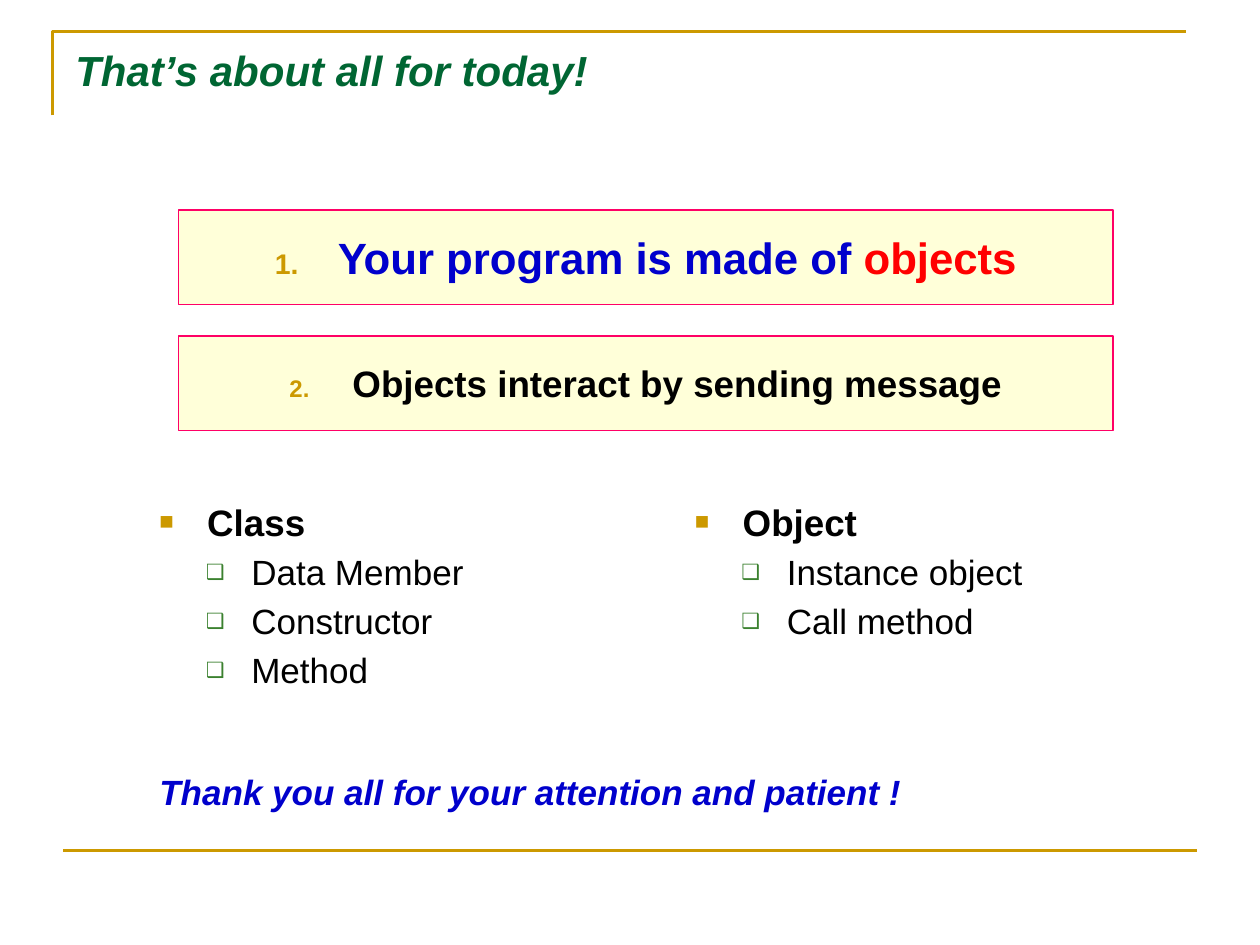
from dataclasses import dataclass, replace
from typing import Optional

from lxml import etree
from pptx import Presentation
from pptx import util as u
from pptx.dml.color import RGBColor
from pptx.enum import shapes, text
from pptx.oxml import ns

GOLD = RGBColor(0xCC, 0x99, 0x00)
DARK_GREEN = RGBColor(0x00, 0x66, 0x33)
LEAF_GREEN = RGBColor(0x3B, 0x81, 0x2F)
BLUE = RGBColor(0x00, 0x00, 0xCC)
RED = RGBColor(0xFF, 0x00, 0x00)
PINK = RGBColor(0xFF, 0x00, 0x66)
CREAM = RGBColor(0xFF, 0xFF, 0xD9)
BLACK = RGBColor(0x00, 0x00, 0x00)

WIDTH, HEIGHT = u.Inches(10), u.Inches(7.5)
COLUMNS, ROWS = 120, 90


@dataclass(frozen=True)
class Area:
    column: float
    row: float
    columns: float
    rows: float

    def lengths(self) -> tuple[int, int, int, int]:
        return (across(self.column), down(self.row),
                across(self.columns), down(self.rows))


@dataclass(frozen=True)
class Bullet:
    tag: str
    attributes: dict
    color: RGBColor
    percent: int
    margin: float
    hanging: float


@dataclass(frozen=True)
class Run:
    text: str
    size: float
    color: RGBColor = BLACK
    bold: bool = True
    italic: bool = False


@dataclass(frozen=True)
class Line:
    runs: tuple[Run, ...]
    bullet: Optional[Bullet] = None
    level: int = 0
    alignment: text.PP_ALIGN = text.PP_ALIGN.LEFT


@dataclass(frozen=True)
class Topic:
    column: float
    heading: str
    members: tuple[str, ...]


SQUARE = Bullet("a:buChar", {"char": "■"}, GOLD, 65, 0.38, 0.38)
HOLLOW = Bullet("a:buChar", {"char": "❑"}, LEAF_GREEN, 60, 0.73, 0.36)
NUMBER = Bullet("a:buAutoNum", {"type": "arabicPeriod"}, GOLD, 65, 0.5, 0.5)

MESSAGES = (
    (Run("Your program is made of ", 25, BLUE), Run("objects", 25, RED)),
    (Run("Objects interact by sending message", 21),),
)
TOPICS = (
    Topic(14, "Class", ("Data Member", "Constructor", "Method")),
    Topic(65, "Object", ("Instance object", "Call method")),
)


def across(columns: float) -> int:
    return round(WIDTH * columns / COLUMNS)


def down(rows: float) -> int:
    return round(HEIGHT * rows / ROWS)


def apply_bullet(paragraph, bullet: Bullet) -> None:
    properties = paragraph._p.get_or_add_pPr()
    properties.set("marL", str(u.Inches(bullet.margin)))
    properties.set("indent", str(-u.Inches(bullet.hanging)))
    color = etree.SubElement(properties, ns.qn("a:buClr"))
    etree.SubElement(color, ns.qn("a:srgbClr"), val=str(bullet.color))
    etree.SubElement(properties, ns.qn("a:buSzPct"), val=str(bullet.percent * 1000))
    etree.SubElement(properties, ns.qn("a:buFont"), typeface="Arial")
    etree.SubElement(properties, ns.qn(bullet.tag), bullet.attributes)


def write_lines(frame, lines: list[Line]) -> None:
    frame.word_wrap = True
    for index, line in enumerate(lines):
        paragraph = frame.add_paragraph() if index else frame.paragraphs[0]
        paragraph.alignment = line.alignment
        paragraph.level = line.level
        if line.bullet:
            paragraph.space_before = u.Pt(line.runs[0].size * 0.2)
            apply_bullet(paragraph, line.bullet)
        for part in line.runs:
            run = paragraph.add_run()
            run.text = part.text
            formats = {"name": "Arial", "size": u.Pt(part.size),
                       "bold": part.bold, "italic": part.italic}
            for name, value in formats.items():
                setattr(run.font, name, value)
            run.font.color.rgb = part.color


def add_text(slide, area: Area, lines: list[Line]) -> None:
    write_lines(slide.shapes.add_textbox(*area.lengths()).text_frame, lines)


def add_message(slide, area: Area, line: Line) -> None:
    shape = slide.shapes.add_shape(shapes.MSO_SHAPE.RECTANGLE, *area.lengths())
    shape.shadow.inherit = False
    shape.fill.solid()
    shape.fill.fore_color.rgb = CREAM
    shape.line.color.rgb = PINK
    shape.line.width = u.Pt(0.75)
    shape.text_frame.vertical_anchor = text.MSO_ANCHOR.MIDDLE
    write_lines(shape.text_frame, [line])


def add_topic(slide, topic: Topic) -> None:
    lines = [Line((Run(topic.heading, 21),), SQUARE)]
    lines += [Line((Run(member, 20, bold=False),), HOLLOW, 1)
              for member in topic.members]
    add_text(slide, Area(topic.column, 47, 48, 22), lines)


def add_frame_lines(slide) -> None:
    builder = slide.shapes.build_freeform(across(5), down(11))
    builder.add_line_segments(
        [(across(5), down(3)), (across(113), down(3))], close=False)
    corner = builder.convert_to_shape()
    corner.shadow.inherit = False
    corner.fill.background()
    footer = slide.shapes.add_connector(
        shapes.MSO_CONNECTOR.STRAIGHT, across(6), down(81), across(114), down(81))
    etree.SubElement(footer._element.spPr, ns.qn("a:effectLst"))
    for shape in (corner, footer):
        shape.line.color.rgb = GOLD
        shape.line.width = u.Pt(1.5)


def main() -> None:
    presentation = Presentation()
    presentation.slide_width, presentation.slide_height = WIDTH, HEIGHT
    slide = presentation.slides.add_slide(presentation.slide_layouts[6])
    add_frame_lines(slide)
    add_text(slide, Area(6, 3.6, 108, 15),
             [Line((Run("That’s about all for today!", 24, DARK_GREEN, italic=True),))])
    for index, runs in enumerate(MESSAGES):
        numbering = {**NUMBER.attributes, "startAt": str(index + 1)}
        add_message(slide, Area(17, 20 + 12 * index, 89, 9),
                    Line(runs, replace(NUMBER, attributes=numbering),
                         alignment=text.PP_ALIGN.CENTER))
    for topic in TOPICS:
        add_topic(slide, topic)
    add_text(slide, Area(14, 72.75, 98, 5.25),
             [Line((Run("Thank you all for your attention and patient !",
                        20, BLUE, italic=True),))])
    presentation.save("out.pptx")


if __name__ == "__main__":
    main()
